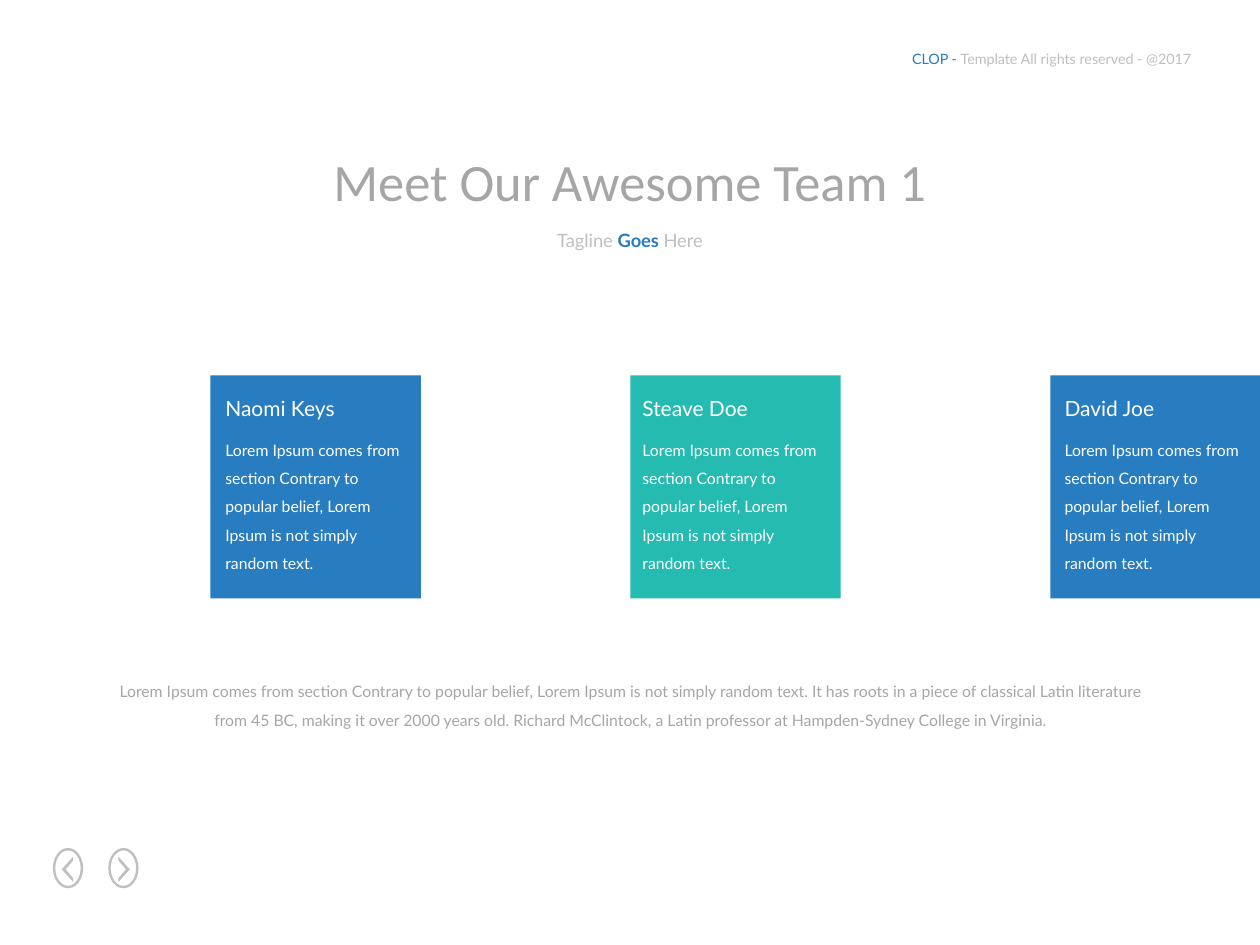
from pptx import Presentation
from pptx.dml.color import RGBColor
from pptx.enum.shapes import MSO_SHAPE
from pptx.enum.text import MSO_ANCHOR, MSO_AUTO_SIZE, PP_ALIGN
from pptx.util import Inches, Pt

BLUE = RGBColor(0x28, 0x7C, 0xC0)
TEAL = RGBColor(0x26, 0xBB, 0xB0)
GRAY = RGBColor(0xA6, 0xA6, 0xA6)
LIGHT_GRAY = RGBColor(0xBF, 0xBF, 0xBF)
WHITE = RGBColor(0xFF, 0xFF, 0xFF)
RECTANGLE, DONUT = MSO_SHAPE.RECTANGLE, MSO_SHAPE.DONUT
LEFT, CENTER = PP_ALIGN.LEFT, PP_ALIGN.CENTER
TOP = MSO_ANCHOR.TOP
NO_AUTOFIT = MSO_AUTO_SIZE.NONE

TITLE_ONLY_LAYOUT = 5
CARD_SIZE = 1.67
CARD_HEIGHT = 1.77
CARD_TOP = 2.98
BIO = ("Lorem Ipsum comes from section Contrary to popular belief, "
       "Lorem Ipsum is not simply random text.")
SUMMARY = BIO + (" It has roots in a piece of classical Latin literature from 45 BC, "
                 "making it over 2000 years old. Richard McClintock, a Latin professor "
                 "at Hampden-Sydney College in Virginia.")
MEMBERS = [("Naomi Keys", BLUE, 1.69), ("Steave Doe", TEAL, 5), ("David Joe", BLUE, 8.35)]


def fill_plain(shape, color):
    shape.shadow.inherit = False
    shape.fill.solid()
    shape.fill.fore_color.rgb = color
    shape.line.fill.background()


def write_text(shape, runs, size, align=LEFT, spacing=None, wrap=False, font="Lato"):
    frame = shape.text_frame
    frame.auto_size = NO_AUTOFIT
    frame.word_wrap = wrap
    frame.vertical_anchor = TOP
    paragraph = frame.paragraphs[0]
    paragraph.alignment = align
    paragraph.line_spacing = spacing
    paragraph.font.name = font
    paragraph.font.size = Pt(size)
    if len(runs) == 1:
        paragraph.font.color.rgb = runs[0][1]
    for text, color, *bold in runs:
        run = paragraph.add_run()
        run.text = text
        if len(runs) > 1:
            run.font.color.rgb = color
        if bold:
            run.font.bold = bold[0]


def add_text(slide, box, runs, size, **style):
    write_text(slide.shapes.add_textbox(*map(Inches, box)), runs, size, **style)


def add_title(slide, text):
    title = slide.shapes.title
    title.left, title.top = Inches(2.27), Inches(1.13)
    title.width, title.height = Inches(5.46), Inches(0.61)
    write_text(title, [(text, GRAY)], 30, align=CENTER, font="Calibri")


def add_member(slide, index, name, color, text_left):
    card_left = CARD_SIZE + index * 10 / 3
    card = slide.shapes.add_shape(RECTANGLE, Inches(card_left), Inches(CARD_TOP),
                                  Inches(CARD_SIZE), Inches(CARD_HEIGHT))
    fill_plain(card, color)
    add_text(slide, (text_left, 3.37, 1.65, 1.24), [(BIO, WHITE)], 9, spacing=1.5, wrap=True)
    add_text(slide, (text_left, 3.09, 1.09, 0.3), [(name, WHITE)], 12)


def add_arrow_button(slide, left, tip, direction):
    ring = slide.shapes.add_shape(DONUT, Inches(left), Inches(6.73), Inches(0.24), Inches(0.32))
    ring.adjustments[0] = 0.08
    fill_plain(ring, LIGHT_GRAY)

    middle = 6.9
    base = tip - direction * 0.09
    inner = tip - direction * 0.03
    outline = [(base, middle - 0.07), (inner, middle), (base, middle + 0.07),
               (base, middle + 0.1), (tip, middle), (base, middle - 0.1)]
    points = [(Inches(x), Inches(y)) for x, y in outline]
    builder = slide.shapes.build_freeform(*points[0])
    builder.add_line_segments(points[1:], close=True)
    fill_plain(builder.convert_to_shape(), LIGHT_GRAY)


def main():
    presentation = Presentation()
    presentation.slide_width, presentation.slide_height = Inches(10), Inches(7.5)
    slide = presentation.slides.add_slide(presentation.slide_layouts[TITLE_ONLY_LAYOUT])

    add_text(slide, (7.14, 0.35, 2.5, 0.24),
             [("CLOP - ", BLUE), ("Template All rights reserved - @2017", LIGHT_GRAY)], 8.2)
    add_arrow_button(slide, 0.42, 0.49, -1)
    add_arrow_button(slide, 0.86, 1.03, 1)
    add_title(slide, "Meet Our Awesome Team 1")
    add_text(slide, (4.3, 1.77, 1.4, 0.28),
             [("Tagline ", LIGHT_GRAY), ("Goes ", BLUE, True), ("Here", LIGHT_GRAY)],
             10.5, align=CENTER)
    for index, member in enumerate(MEMBERS):
        add_member(slide, index, *member)
    add_text(slide, (0.75, 5.29, 8.5, 0.56), [(SUMMARY, GRAY)], 9,
             align=CENTER, spacing=1.5, wrap=True)

    presentation.save("out.pptx")


if __name__ == "__main__":
    main()
